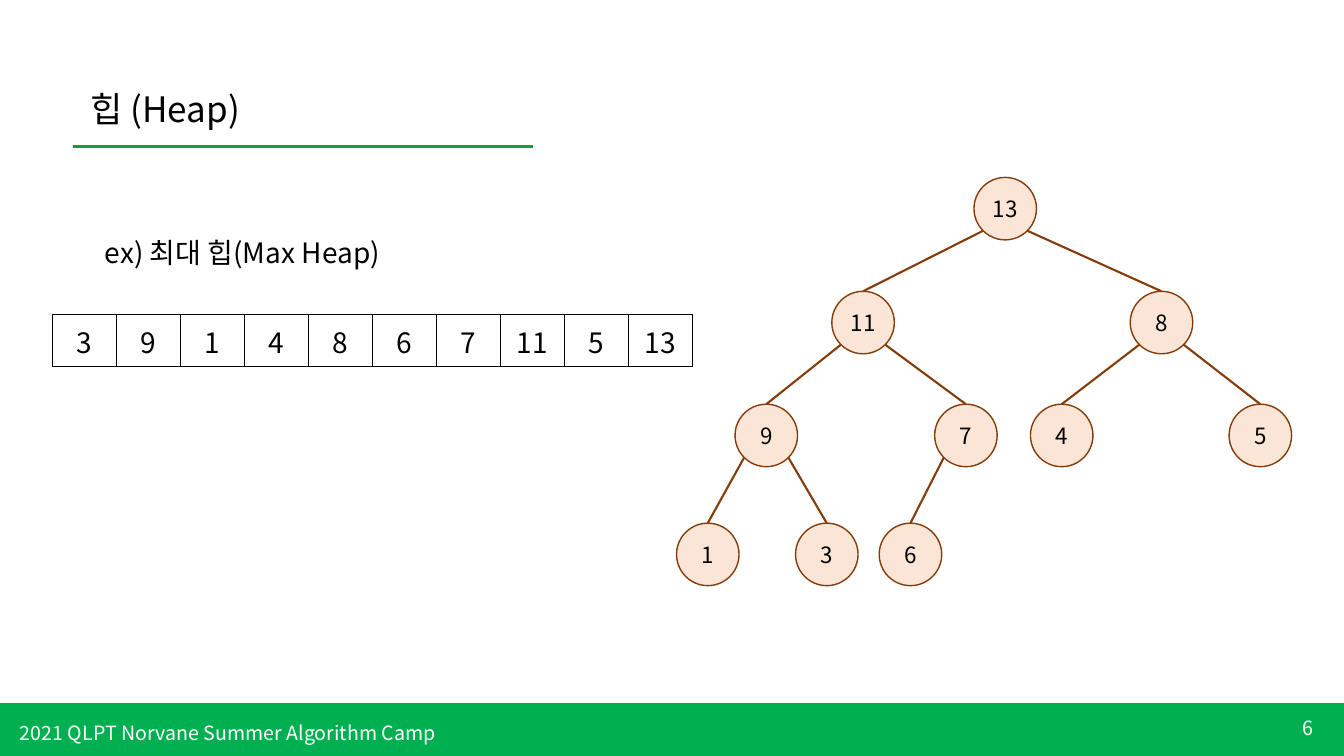
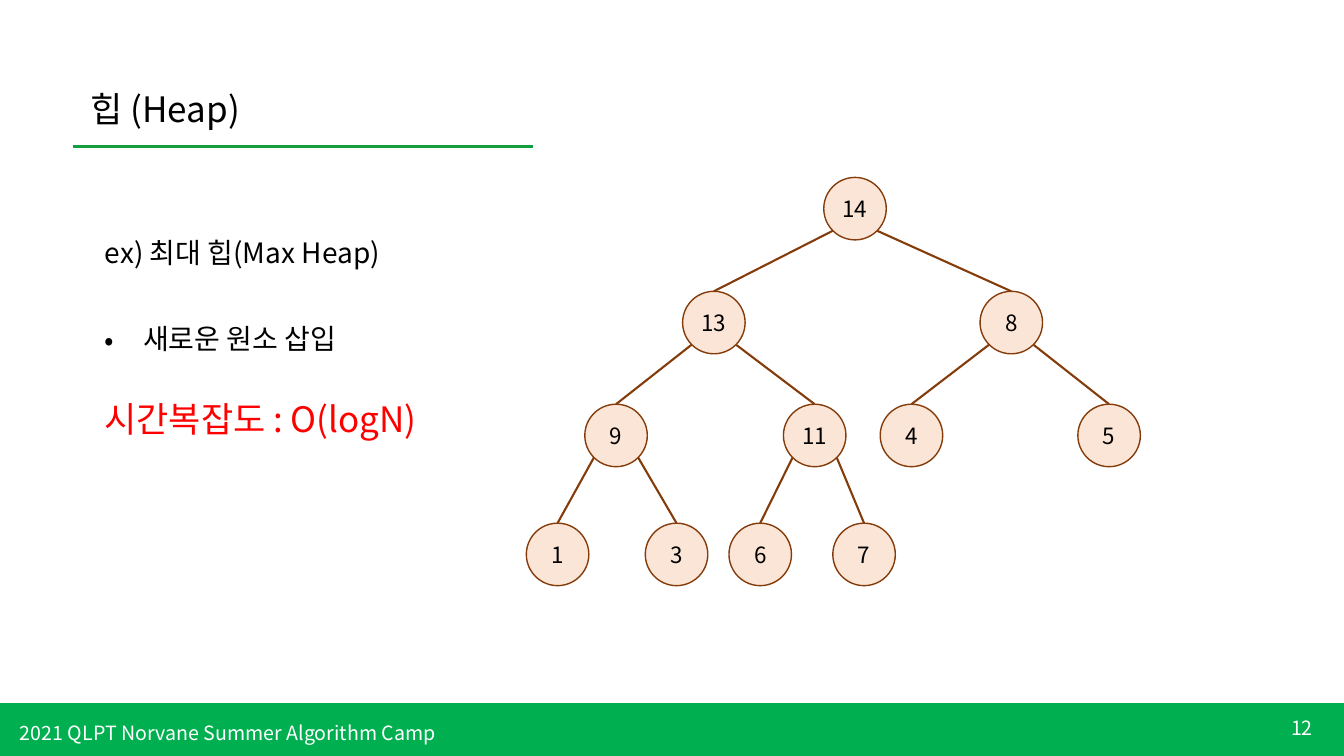
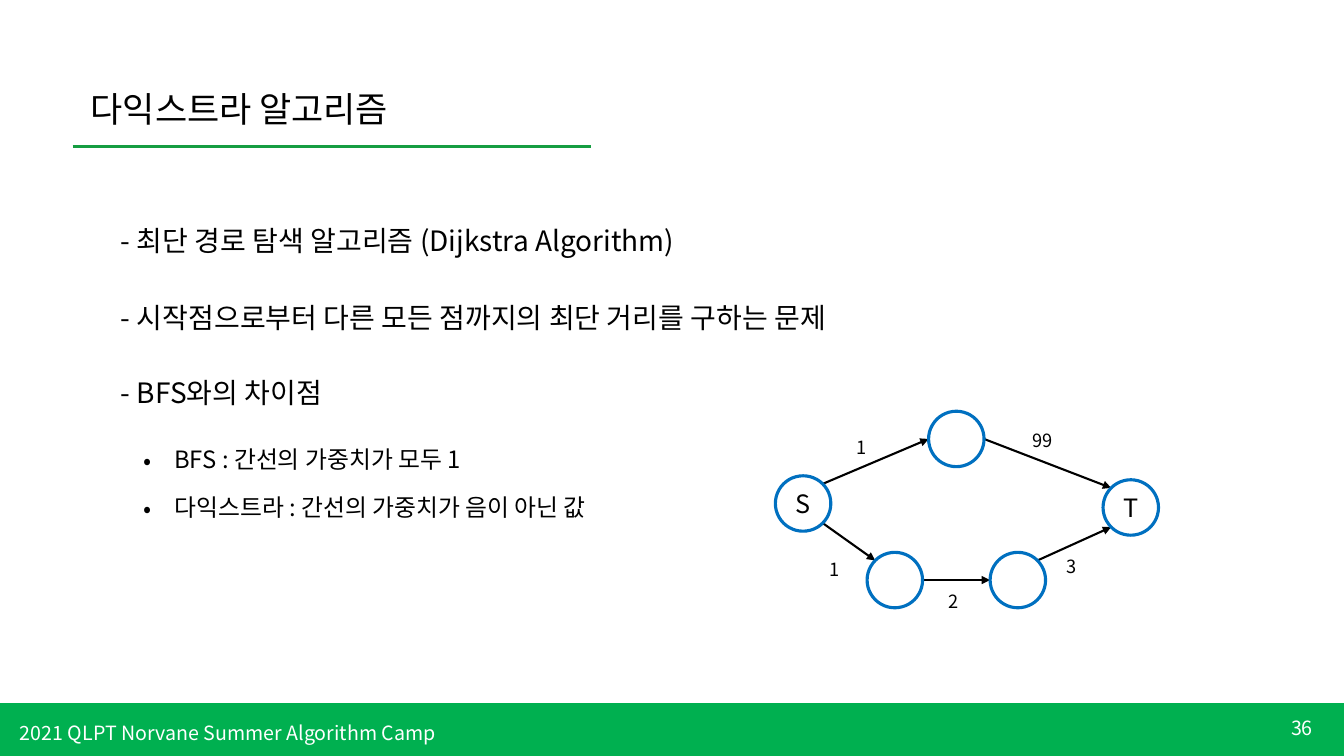
import math

import lxml.etree
import pptx
import pptx.dml.color
import pptx.enum.shapes
import pptx.enum.text
import pptx.oxml.ns
import pptx.util

Inches = pptx.util.Inches
Pt = pptx.util.Pt
qn = pptx.oxml.ns.qn
Align = pptx.enum.text.PP_ALIGN
Anchor = pptx.enum.text.MSO_ANCHOR
Shape = pptx.enum.shapes.MSO_SHAPE
FONT = "Noto Sans CJK KR"
COLORS = {
    name: pptx.dml.color.RGBColor.from_string(value)
    for name, value in {
        "band": "00B050", "rule": "159D41", "black": "000000",
        "white": "FFFFFF", "red": "FF0000", "peach": "FBE5D6",
        "brown": "843C0B", "blue": "0070C0",
    }.items()
}


def write(frame, text, size, color="black", align=Align.LEFT, anchor=Anchor.TOP, indent=0):
    frame.word_wrap = True
    frame.vertical_anchor = anchor
    para = frame.paragraphs[0]
    para.alignment = align
    if indent:
        properties = para._p.get_or_add_pPr()
        properties.set("marL", str(Inches(indent)))
        properties.set("indent", str(-Inches(indent)))
        lxml.etree.SubElement(properties, qn("a:buFont"), typeface=FONT)
        lxml.etree.SubElement(properties, qn("a:buChar"), char="•")
    span = para.add_run()
    span.text = text
    span.font.size = Pt(size)
    span.font.color.rgb = COLORS[color]
    span.font.name = FONT
    lxml.etree.SubElement(span._r.get_or_add_rPr(), qn("a:ea"), typeface=FONT)


def add_line(page, start, end, color, width, arrow=False):
    points = [Inches(value) for value in (*start, *end)]
    line = page.shapes.add_connector(pptx.enum.shapes.MSO_CONNECTOR.STRAIGHT, *points)
    line.line.color.rgb = COLORS[color]
    line.line.width = Pt(width)
    properties = line.element.spPr
    if arrow:
        lxml.etree.SubElement(properties.find(qn("a:ln")), qn("a:tailEnd"), type="triangle")
    lxml.etree.SubElement(properties, qn("a:effectLst"))


deck = pptx.Presentation()
deck.slide_width = Inches(13.33)
deck.slide_height = Inches(7.5)
layout = deck.slide_layouts[5]
for holder in list(layout.placeholders)[1:]:
    layout.shapes.element.remove(holder.element)

pages = []
for title, number, rule_end in [
    ("힙 (Heap)", "6", 5.29),
    ("힙 (Heap)", "12", 5.29),
    ("다익스트라 알고리즘", "36", 5.86),
]:
    page = deck.slides.add_slide(layout)
    pages.append(page)
    heading = page.shapes.title
    heading.left, heading.top = Inches(0.8), Inches(0.82)
    heading.width, heading.height = Inches(5.24), Inches(0.52)
    heading.text_frame.auto_size = pptx.enum.text.MSO_AUTO_SIZE.NONE
    write(heading.text_frame, title, 25)
    if len(pages) == 1:
        band = page.shapes.add_shape(Shape.RECTANGLE, 0, Inches(6.98), deck.slide_width, Inches(0.52))
        band.shadow.inherit = False
        band.fill.solid()
        band.fill.fore_color.rgb = COLORS["band"]
        band.line.color.rgb = COLORS["band"]
        band.line.width = Pt(1)
        footer = page.shapes.add_textbox(Inches(0.1), Inches(7.1), Inches(5.76), Inches(0.34))
        write(footer.text_frame, "2021 QLPT Norvane Summer Algorithm Camp", 14, "white")
        for shared in (band, footer):
            layout.shapes.element.append(shared.element)
    add_line(page, (0.72, 1.45), (rule_end, 1.45), "rule", 2.25)
    box = page.shapes.add_textbox(Inches(12.12), Inches(7.02), Inches(1), Inches(0.4))
    write(box.text_frame, number, 14, "white", Align.RIGHT, Anchor.MIDDLE)

array_page, insert_page, dijkstra_page = pages

for page, text, left, top, width, size, color, indent in [
    (array_page, "ex) 최대 힙(Max Heap)", 0.94, 2.29, 3.41, 20, "black", 0),
    (insert_page, "ex) 최대 힙(Max Heap)", 0.94, 2.29, 3.41, 20, "black", 0),
    (insert_page, "새로운 원소 삽입", 0.94, 3.14, 3.41, 20, "black", 0.38),
    (insert_page, "시간복잡도 : O(logN)", 0.94, 3.89, 3.41, 25, "red", 0),
    (dijkstra_page, "- 최단 경로 탐색 알고리즘 (Dijkstra Algorithm)", 1.1, 2.17, 7.45, 20, "black", 0),
    (dijkstra_page, "- 시작점으로부터 다른 모든 점까지의 최단 거리를 구하는 문제", 1.1, 2.93, 7.45, 20, "black", 0),
    (dijkstra_page, "- BFS와의 차이점", 1.1, 3.68, 7.45, 20, "black", 0),
    (dijkstra_page, "BFS : 간선의 가중치가 모두 1", 1.32, 4.36, 6.09, 17, "black", 0.31),
    (dijkstra_page, "다익스트라 : 간선의 가중치가 음이 아닌 값", 1.32, 4.84, 6.09, 17, "black", 0.31),
    (dijkstra_page, "1", 8.4, 4.28, 0.55, 13, "black", 0),
    (dijkstra_page, "99", 10.14, 4.21, 0.55, 13, "black", 0),
    (dijkstra_page, "1", 8.13, 5.49, 0.55, 13, "black", 0),
    (dijkstra_page, "2", 9.31, 5.81, 0.55, 13, "black", 0),
    (dijkstra_page, "3", 10.48, 5.46, 0.55, 13, "black", 0),
]:
    box = page.shapes.add_textbox(Inches(left), Inches(top), Inches(width), Inches(size / 50 + 0.05))
    write(box.text_frame, text, size, color, indent=indent)

values = [3, 9, 1, 4, 8, 6, 7, 11, 5, 13]
table = array_page.shapes.add_table(
    1, len(values), Inches(0.52), Inches(3.12), Inches(6.35), Inches(0.52)
).table
table.first_row = False
table.horz_banding = False
for column, value in enumerate(values):
    cell = table.cell(0, column)
    cell.margin_left = cell.margin_right = Inches(0.13)
    cell.margin_top = cell.margin_bottom = Inches(0.06)
    write(cell.text_frame, str(value), 20, align=Align.CENTER)
    cell.vertical_anchor = Anchor.MIDDLE
    properties = cell._tc.get_or_add_tcPr()
    for side in ("a:lnL", "a:lnR", "a:lnT", "a:lnB"):
        border = lxml.etree.SubElement(properties, qn(side), w=str(Pt(1)))
        fill = lxml.etree.SubElement(border, qn("a:solidFill"))
        lxml.etree.SubElement(fill, qn("a:srgbClr"), val=str(COLORS["black"]))
    cell.fill.background()

level_tops = [1.76, 2.89, 4.01, 5.19]
heaps = [
    (array_page, [(13, 9.66), (11, 8.25), (8, 11.21), (9, 7.29), (7, 9.27), (4, 10.22),
                  (5, 12.19), (1, 6.71), (3, 7.89), (6, 8.72)]),
    (insert_page, [(14, 8.17), (13, 6.77), (8, 9.72), (9, 5.8), (11, 7.77), (4, 8.73),
                   (5, 10.69), (1, 5.22), (3, 6.4), (6, 7.23), (7, 8.26)]),
]
circles = []
for page, nodes in heaps:
    radius = 0.31
    reach = radius * math.sqrt(0.5)
    centers = []
    for index, (key, left) in enumerate(nodes):
        top = level_tops[int(math.log2(index + 1))]
        centers.append((left + radius, top + radius))
        circles.append((page, str(key), left, top, 2 * radius, "peach", "brown", 1, 16, 0.04))
        if index:
            parent_x, parent_y = centers[(index - 1) // 2]
            side = -1 if index % 2 else 1
            add_line(page, (left + radius, top), (parent_x + side * reach, parent_y + reach), "brown", 1.5)

vertices = {
    "start": ("S", 7.69, 4.72),
    "upper": ("", 9.21, 4.08),
    "lower left": ("", 8.6, 5.48),
    "lower right": ("", 9.82, 5.48),
    "target": ("T", 10.94, 4.76),
}
diameter = 0.55
for label, left, top in vertices.values():
    circles.append((dijkstra_page, label, left, top, diameter, "white", "blue", 2.25, 18, 0.05))
for edge in [
    (("start", -45), ("upper", 180)),
    (("start", 45), ("lower left", 225)),
    (("upper", 0), ("target", 225)),
    (("lower left", 0), ("lower right", 180)),
    (("lower right", -45), ("target", 135)),
]:
    ends = []
    for vertex, degrees in edge:
        label, left, top = vertices[vertex]
        angle = math.radians(degrees)
        ends.append((left + diameter / 2 * (1 + math.cos(angle)), top + diameter / 2 * (1 + math.sin(angle))))
    add_line(dijkstra_page, *ends, "black", 1.5, arrow=True)

for page, label, left, top, size, fill, outline, width, text_size, margin in circles:
    circle = page.shapes.add_shape(Shape.OVAL, Inches(left), Inches(top), Inches(size), Inches(size))
    circle.shadow.inherit = False
    circle.fill.solid()
    circle.fill.fore_color.rgb = COLORS[fill]
    circle.line.color.rgb = COLORS[outline]
    circle.line.width = Pt(width)
    frame = circle.text_frame
    frame.margin_left = frame.margin_right = frame.margin_top = frame.margin_bottom = Inches(margin)
    if label:
        write(frame, label, text_size, align=Align.CENTER, anchor=Anchor.MIDDLE)

deck.save("out.pptx")
